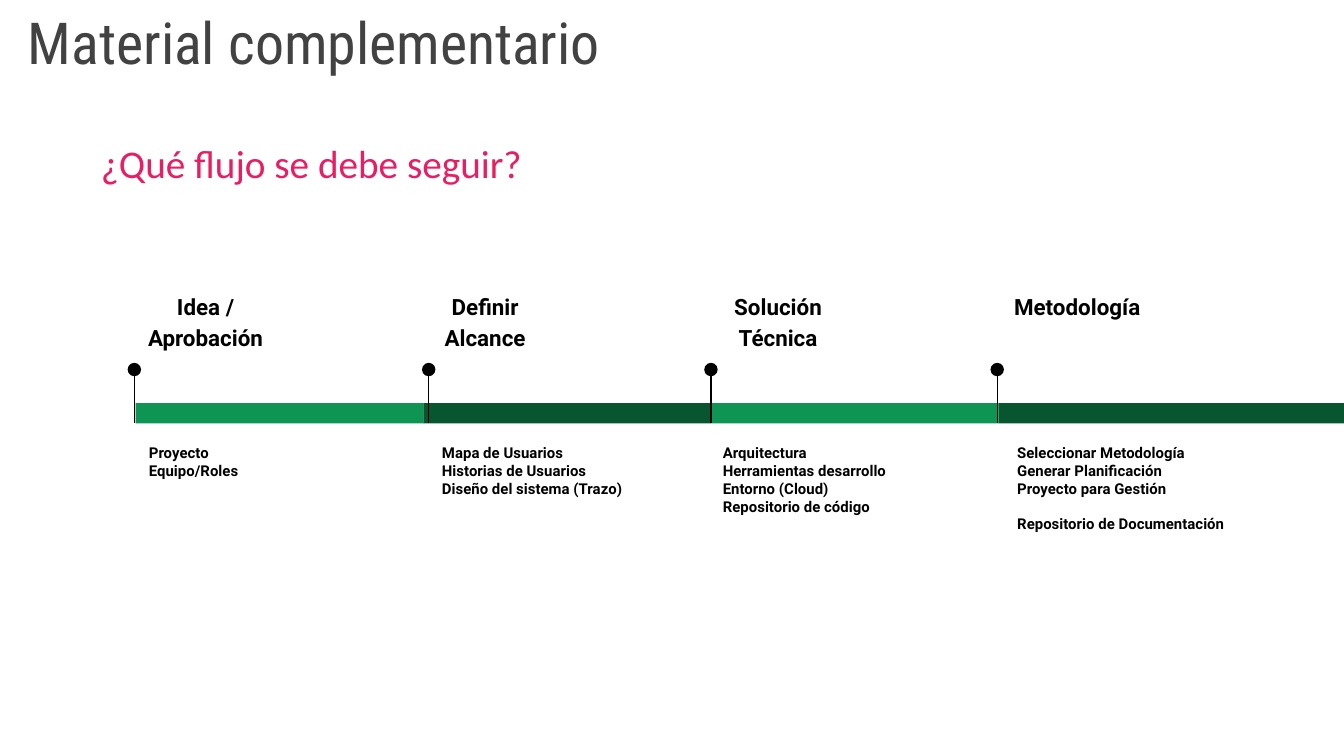
from dataclasses import dataclass

from lxml import etree
from pptx import Presentation
from pptx.dml.color import RGBColor
from pptx.enum import shapes, text
from pptx.oxml import ns
from pptx.util import Inches, Pt


@dataclass(frozen=True)
class Theme:
    black: str = "000000"
    gray: str = "424242"
    pink: str = "E91D63"
    greens: tuple = ("0E9453", "085630")
    head: str = "Roboto Condensed"
    sub: str = "Calibri"
    body: str = "Roboto"
    head_size: int = 31
    sub_size: int = 21
    label_size: int = 12
    item_size: int = 8


THEME = Theme()
WIDTH = 10
HEIGHT = WIDTH * 9 / 16
BAR = 2.14
GAP = 9.4  # points: one empty line of item text

# pin x, label (left, width), items (left, width), label, items; None opens a gap
STEPS = [
    (1, (0.95, 1.16), (1.01, 1.53), "Idea / Aprobación",
     ["Proyecto", "Equipo/Roles"]),
    (3.19, (3.03, 1.16), (3.19, 1.76), "Definir Alcance",
     ["Mapa de Usuarios", "Historias de Usuarios", "Diseño del sistema (Trazo)"]),
    (5.29, (5.21, 1.16), (5.28, 1.53), "Solución Técnica",
     ["Arquitectura", "Herramientas desarrollo", "Entorno (Cloud)",
      "Repositorio de código"]),
    (7.42, (7.34, 1.35), (7.47, 2.21), "Metodología",
     ["Seleccionar Metodología", "Generar Planificación", "Proyecto para Gestión",
      None, "Repositorio de Documentación"]),
]


def add_text(slide, box, lines, font, size, color, bold=False, inset=0.1,
             anchor=text.MSO_ANCHOR.TOP):
    """Add a text box with one paragraph a line and return its paragraphs."""
    frame = slide.shapes.add_textbox(*map(Inches, box)).text_frame
    frame.word_wrap = True
    frame.vertical_anchor = anchor
    frame.margin_left = frame.margin_right = Inches(inset)
    frame.margin_top = frame.margin_bottom = Inches(inset)
    gap = False
    for i, line in enumerate(lines):
        if line is None:
            gap = True
            continue
        para = frame.add_paragraph() if i else frame.paragraphs[0]
        if gap:
            para.space_before = Pt(GAP)
            gap = False
        run = para.add_run()
        run.text = line
        run.font.name = font
        run.font.size = Pt(size)
        run.font.bold = bold
        run.font.color.rgb = RGBColor.from_string(color)
    return frame.paragraphs


def add_solid(parent, kind, box, color):
    shape = parent.add_shape(kind, *map(Inches, box))
    shape.shadow.inherit = False
    shape.fill.solid()
    shape.fill.fore_color.rgb = RGBColor.from_string(color)
    shape.line.fill.background()


def add_pin(slide, x, top, size=0.1, stem=0.4):
    """Add a dot with its stem; top is the middle of the dot."""
    group = slide.shapes.add_group_shape().shapes
    line = group.add_connector(shapes.MSO_CONNECTOR.STRAIGHT, Inches(x),
                               Inches(top), Inches(x), Inches(top + stem))
    line.line.color.rgb = RGBColor.from_string(THEME.black)
    line.line.width = Pt(0.75)
    etree.SubElement(line._element.spPr, ns.qn("a:effectLst"))
    add_solid(group, shapes.MSO_SHAPE.OVAL,
              (x - size / 2, top - size / 2, size, size), THEME.black)


def add_header(slide, left, top):
    add_text(slide, (left, top, 8.31, 0.67), ["Material complementario"],
             THEME.head, THEME.head_size, THEME.gray,
             anchor=text.MSO_ANCHOR.BOTTOM)
    add_text(slide, (left + 0.57, top + 0.97, 7.08, 0.49),
             ["¿Qué flujo se debe seguir?"], THEME.sub, THEME.sub_size,
             THEME.pink, inset=0.07)


def add_flow(slide, left, top, width):
    """Add the bars, then each step with its label, pin and items."""
    last = len(STEPS) - 1
    for i in range(len(STEPS)):
        wide = width - i * BAR if i == last else BAR
        add_solid(slide.shapes, shapes.MSO_SHAPE.RECTANGLE,
                  (left + i * BAR, top + 0.95, wide, 0.15), THEME.greens[i % 2])
    for pin, (x, wide), (item_x, item_wide), label, items in STEPS:
        para = add_text(slide, (x, top, wide, 0.41), [label], THEME.body,
                        THEME.label_size, THEME.black, bold=True)[0]
        para.alignment = text.PP_ALIGN.CENTER
        para.line_spacing = 1.15
        para.space_after = Pt(16)
        add_pin(slide, pin, top + 0.7)
        add_text(slide, (item_x, top + 1.15, item_wide, 1.03), items, THEME.body,
                 THEME.item_size, THEME.black, bold=True)


def main():
    deck = Presentation()
    deck.slide_width, deck.slide_height = Inches(WIDTH), Inches(HEIGHT)
    slide = deck.slides.add_slide(deck.slide_layouts[6])
    add_header(slide, 0.11, 0)
    add_flow(slide, 1.01, 2.05, WIDTH - 1.01)
    deck.save("out.pptx")


if __name__ == "__main__":
    main()
